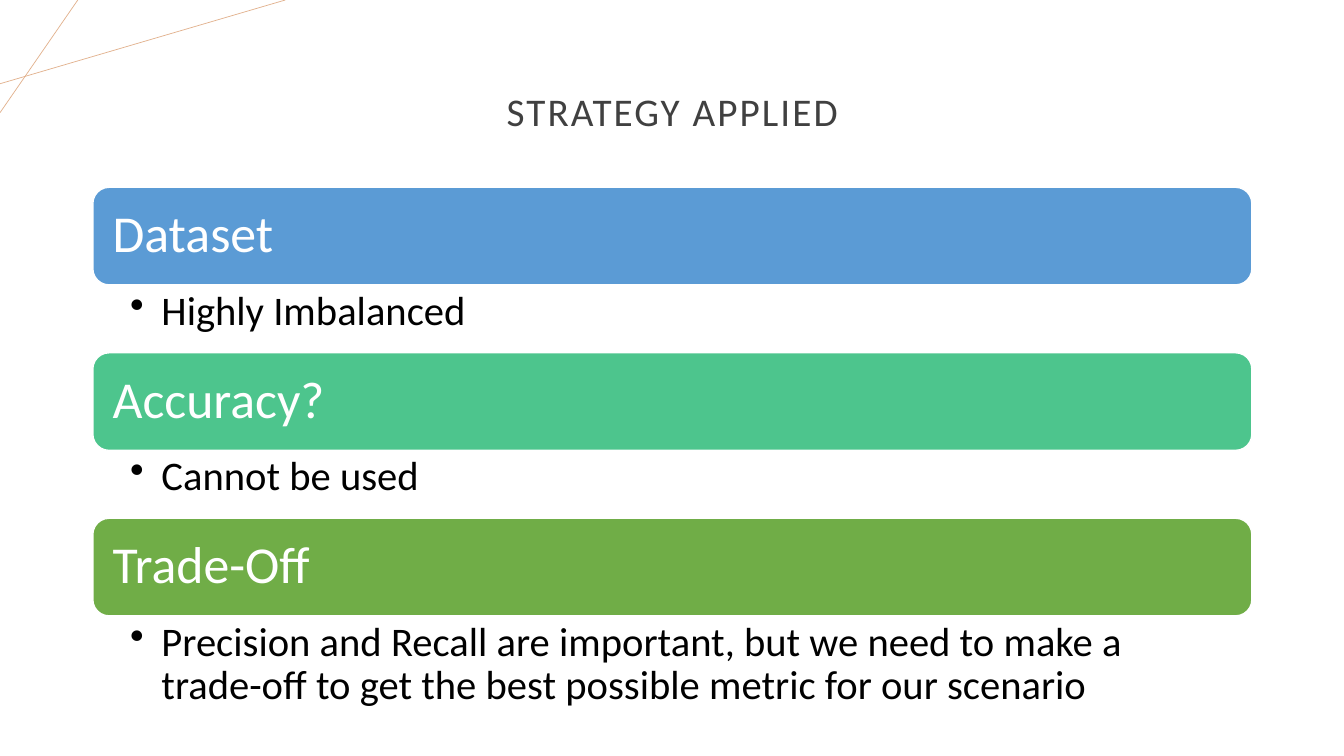
"""Builds the strategy slide: a title over three banded topics with bullets."""
from lxml import etree
from pptx import Presentation
from pptx import util as u
from pptx.dml.color import RGBColor
from pptx.enum import shapes, text
from pptx.oxml.ns import qn

COLOURS = {
    "title": "404040", "label": "FFFFFF", "body": "000000", "edge": "FFFFFF",
    "ray": "E2B18D", "blue": "5B9BD5", "teal": "4DC58D", "green": "70AD47",
}
TOPICS = [
    ("Dataset", "blue", "Highly Imbalanced", 1.7),
    ("Accuracy?", "teal", "Cannot be used", 1.7),
    ("Trade-Off", "green", "Precision and Recall are important, but we need to make a "
     "trade-off to get the best possible metric for our scenario", 2.49),
]
RAYS = [(0, 2.11, 7.19, 0), (1.96, 0, 0, 2.84)]
LEFT, WIDTH = 2.34, 29.21
FIRST_TOP, PITCH, BAND_HEIGHT = 4.72, 4.17, 2.46


class StrategySlide:
    """Holds the text style and the current page."""

    def __init__(self, deck, font="Calibri"):
        self.font = font
        self.page = deck.slides.add_slide(deck.slide_layouts[5])

    def colour(self, name):
        return RGBColor.from_string(COLOURS[name])

    def fill_text(self, frame, words, size, colour, align, anchor, insets):
        frame.word_wrap = True
        frame.auto_size = text.MSO_AUTO_SIZE.NONE
        frame.vertical_anchor = anchor
        frame.margin_left, frame.margin_top, frame.margin_right, frame.margin_bottom = map(u.Cm, insets)
        para = frame.paragraphs[0]
        para.alignment = align
        para.line_spacing = 0.9
        span = para.add_run()
        span.text = words
        span.font.name = self.font
        span.font.size = u.Pt(size)
        span.font.color.rgb = self.colour(colour)
        return para, span

    def ray(self, *ends):
        line = self.page.shapes.add_connector(shapes.MSO_CONNECTOR.STRAIGHT, *map(u.Cm, ends))
        line.line.color.rgb = self.colour("ray")
        line.line.width = u.Pt(0.5)
        etree.SubElement(line._element.spPr, qn("a:effectLst"))

    def title(self, words):
        box = self.page.shapes.title
        box.left, box.top, box.width, box.height = map(u.Cm, (LEFT, 1.02, WIDTH, 3.68))
        _, span = self.fill_text(box.text_frame, words, 28, "title", text.PP_ALIGN.CENTER,
                                 text.MSO_ANCHOR.MIDDLE, (0.25, 0.13, 0.25, 0.13))
        span.font._element.set("spc", "150")

    def band(self, words, fill, top):
        box = self.page.shapes.add_shape(shapes.MSO_SHAPE.ROUNDED_RECTANGLE,
                                         *map(u.Cm, (LEFT, top, WIDTH, BAND_HEIGHT)))
        box.shadow.inherit = False
        box.fill.solid()
        box.fill.fore_color.rgb = self.colour(fill)
        box.line.color.rgb = self.colour("edge")
        box.line.width = u.Pt(1)
        self.fill_text(box.text_frame, words, 37, "label", text.PP_ALIGN.LEFT,
                       text.MSO_ANCHOR.MIDDLE, (0.38,) * 4)

    def bullet(self, words, top, height):
        box = self.page.shapes.add_textbox(*map(u.Cm, (LEFT, top, WIDTH, height)))
        para, _ = self.fill_text(box.text_frame, words, 29, "body", text.PP_ALIGN.LEFT,
                                 text.MSO_ANCHOR.TOP, (0.94, 0.13, 0.74, 0.13))
        para.level = 1
        properties = para._p.get_or_add_pPr()
        indent = u.Cm(0.79)
        properties.set("marL", str(indent))
        properties.set("indent", str(-indent))
        etree.SubElement(properties, qn("a:buChar"), char="•")


def main():
    deck = Presentation()
    deck.slide_width, deck.slide_height = u.Cm(33.87), u.Cm(19.05)
    slide = StrategySlide(deck)
    for ends in RAYS:
        slide.ray(*ends)
    slide.title("STRATEGY APPLIED")
    for index, (label, fill, detail, height) in enumerate(TOPICS):
        top = FIRST_TOP + index * PITCH
        slide.band(label, fill, top)
        slide.bullet(detail, top + BAND_HEIGHT, height)
    deck.save("out.pptx")


if __name__ == "__main__":
    main()
